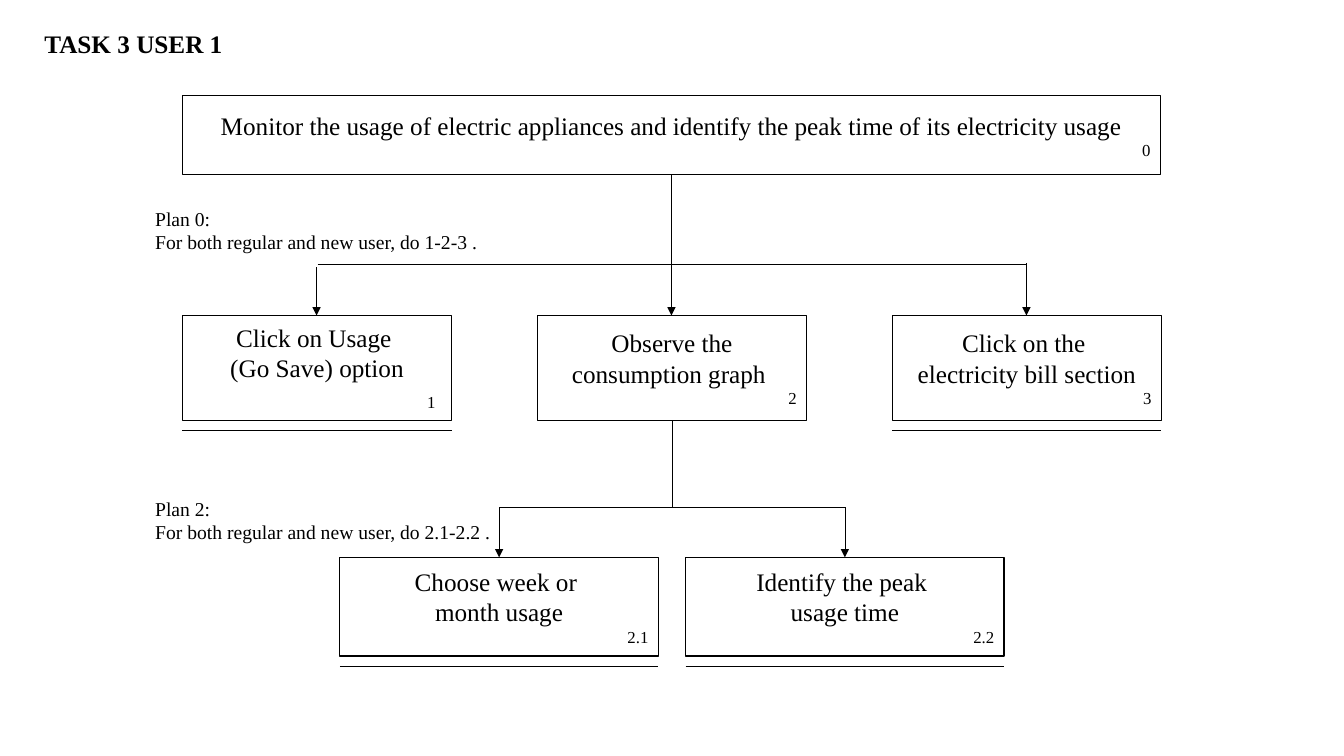
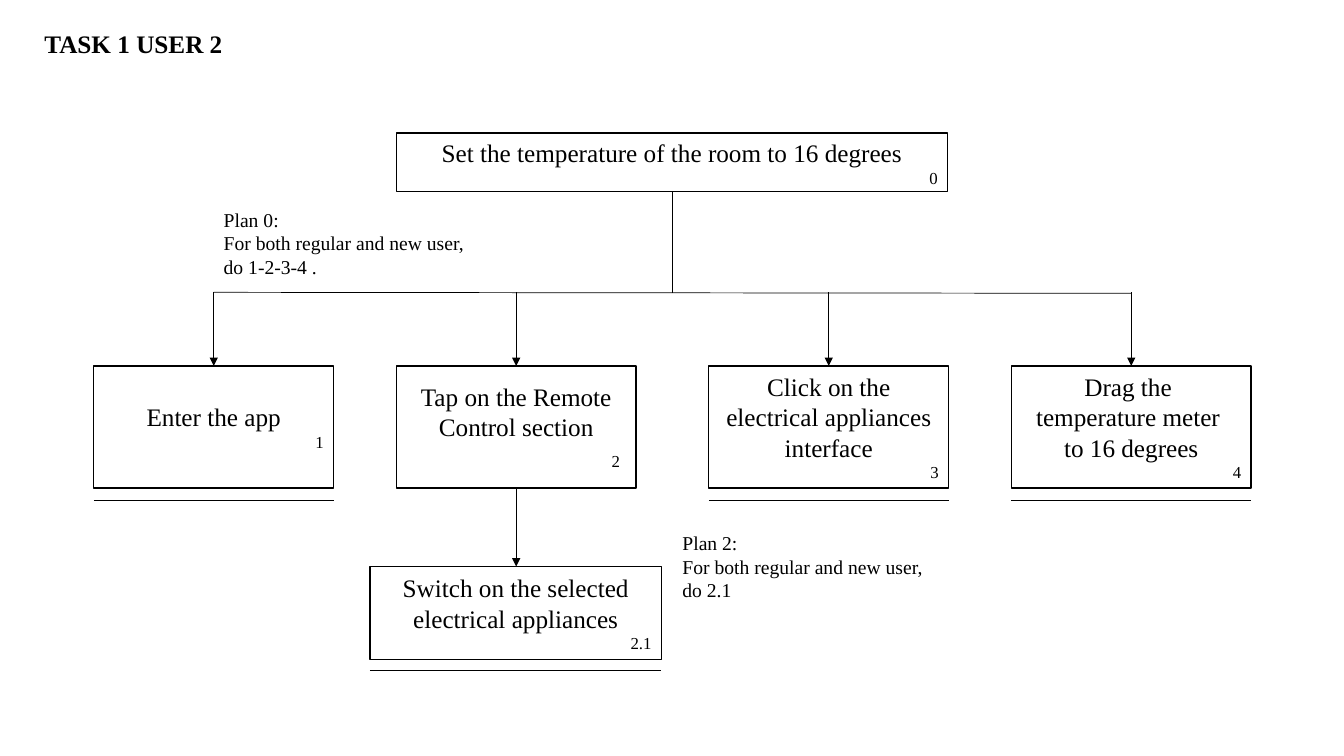
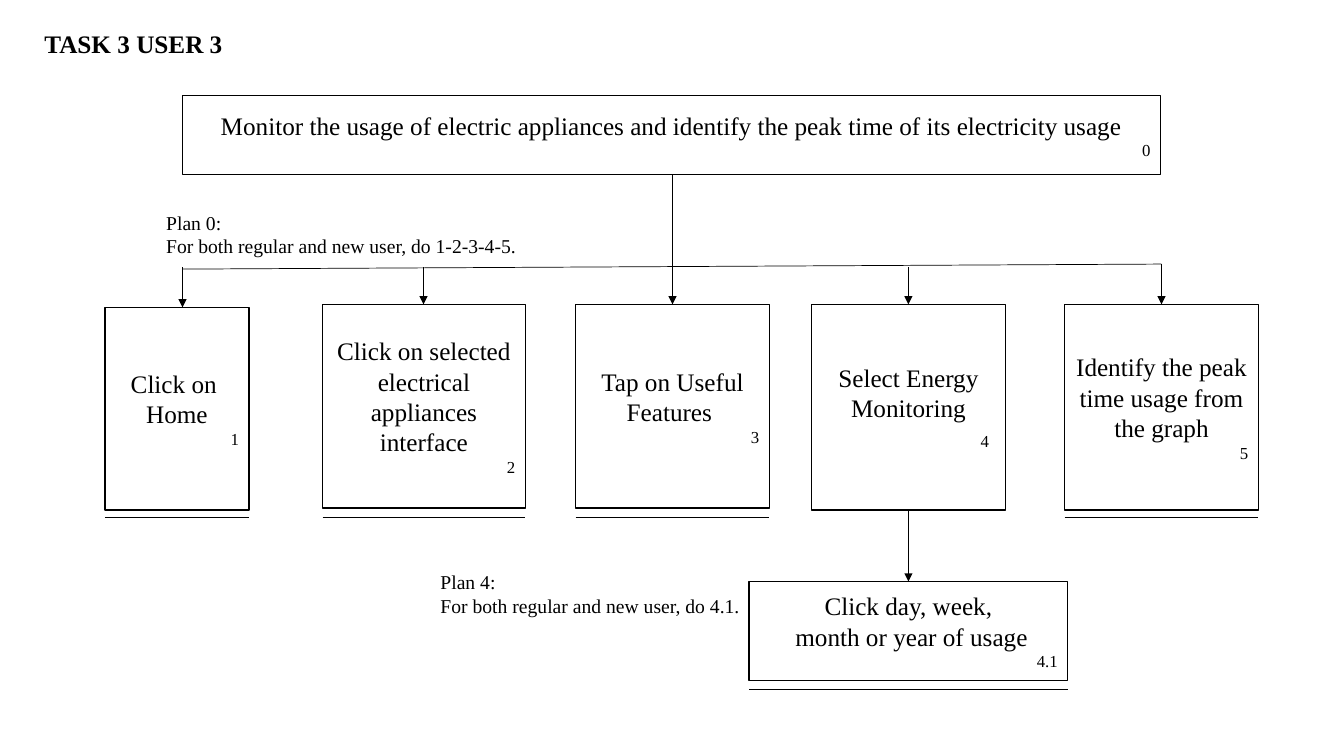
from lxml.etree import SubElement
from pptx import Presentation
from pptx.dml.color import RGBColor
from pptx.enum.shapes import MSO_CONNECTOR, MSO_SHAPE
from pptx.enum.text import MSO_ANCHOR, MSO_AUTO_SIZE, PP_ALIGN
from pptx.oxml.ns import qn
from pptx.util import Pt

PX = 9144
BLACK = RGBColor(0, 0, 0)
WHITE = RGBColor(255, 255, 255)
FONT = "Times New Roman"
GOAL = "Monitor the usage of electric appliances and identify the peak time of its electricity usage"
USER = "For both regular and new user,"


def scale(*sizes):
    return [size * PX for size in sizes]


def write(para, text, size=18, bold=False, align=PP_ALIGN.LEFT):
    para.alignment = align
    run = para.add_run()
    run.text = text
    run.font.name = FONT
    run.font.size = Pt(size)
    run.font.bold = bold
    run.font.color.rgb = BLACK


def fill(frame, text, **style):
    for i, row in enumerate(text.split("\n")):
        para = frame.add_paragraph() if i else frame.paragraphs[0]
        write(para, row, **style)


def fit(frame):
    frame.word_wrap = False
    frame.auto_size = MSO_AUTO_SIZE.SHAPE_TO_FIT_TEXT


def start(deck, text):
    slide = deck.slides.add_slide(deck.slide_layouts[5])
    title = slide.shapes.title
    title.left, title.top, title.width, title.height = scale(34, 23, 199, 40)
    title.text_frame.vertical_anchor = MSO_ANCHOR.TOP
    fit(title.text_frame)
    fill(title.text_frame, text, bold=True)
    return slide


def plan(slide, text, x, y, w, h=57):
    note = slide.shapes.add_textbox(*scale(x, y, w, h))
    fit(note.text_frame)
    fill(note.text_frame, text, size=14)


def link(slide, x1, y1, x2, y2, arrow=False):
    line = slide.shapes.add_connector(MSO_CONNECTOR.STRAIGHT, *scale(x1, y1, x2, y2))
    line.line.color.rgb = BLACK
    line.line.width = Pt(0.5)
    props = line.element.spPr
    if arrow:
        SubElement(props.find(qn("a:ln")), qn("a:tailEnd"), type="triangle")
    SubElement(props, qn("a:effectLst"))


def box(slide, text, num, x, y, w, h, bar=None, drop=None, mid=None, pad=False):
    shape = slide.shapes.add_shape(MSO_SHAPE.RECTANGLE, *scale(x, y, w, h))
    shape.shadow.inherit = False
    shape.fill.solid()
    shape.fill.fore_color.rgb = WHITE
    shape.line.color.rgb = BLACK
    shape.line.width = Pt(1)
    frame = shape.text_frame
    frame.word_wrap = True
    frame.vertical_anchor = MSO_ANCHOR.MIDDLE
    fill(frame, text, align=PP_ALIGN.CENTER)
    last = frame.add_paragraph()
    write(last, num, size=12, align=PP_ALIGN.RIGHT)
    if pad:
        write(last, " ", align=PP_ALIGN.RIGHT)
    if bar:
        link(slide, x, bar, x + w, bar)
    if drop:
        mid = mid or x + w // 2
        link(slide, mid, drop, mid, y, arrow=True)


def usage(deck):
    slide = start(deck, "TASK 3 USER 1")
    box(slide, GOAL, "0", 181, 95, 970, 78)
    plan(slide, f"Plan 0:\n{USER} do 1-2-3 .", 144, 200, 342)
    link(slide, 315, 262, 1019, 262)
    steps = [
        ("Click on Usage \n(Go Save) option", 427, 265, True),
        ("Observe the consumption graph ", None, 173, False),
        ("Click on the \nelectricity bill section", 427, 261, False),
    ]
    for i, (text, bar, drop, pad) in enumerate(steps):
        box(slide, text, str(i + 1), 181 + 352 * i, 313, 267, 104,
            bar=bar, drop=drop, pad=pad)
    link(slide, 667, 418, 667, 503)
    link(slide, 495, 503, 838, 503)
    plan(slide, f"Plan 2:\n{USER} do 2.1-2.2 .", 144, 488, 355)
    parts = ["Choose week or \nmonth usage", "Identify the peak \nusage time"]
    for i, text in enumerate(parts):
        box(slide, text, f"2.{i + 1}", 337 + 343 * i, 553, 316, 98, bar=661, drop=503)


def cool(deck):
    slide = start(deck, "TASK 1 USER 2")
    box(slide, "Set the temperature of the room to 16 degrees", "0", 393, 132, 547, 58)
    plan(slide, f"Plan 0:\n{USER}\ndo 1-2-3-4 .", 212, 201, 265, 81)
    link(slide, 667, 190, 667, 291)
    link(slide, 212, 290, 1122, 291)
    steps = [
        ("Enter the app", 93, 496, False),
        ("Tap on the Remote Control section", 393, None, True),
        ("Click on the electrical appliances interface", 703, 496, False),
        ("Drag the \ntemperature meter \nto 16 degrees", 1003, 496, False),
    ]
    for i, (text, x, bar, pad) in enumerate(steps):
        box(slide, text, str(i + 1), x, 363, 238, 121, bar=bar, drop=290, pad=pad)
    box(slide, "Switch on the selected\nelectrical appliances", "2.1",
        367, 562, 289, 92, bar=665, drop=484, mid=512)
    plan(slide, f"Plan 2:\n{USER}\ndo 2.1", 667, 522, 273, 81)


def watch(deck):
    slide = start(deck, "TASK 3 USER 3")
    box(slide, GOAL, "0", 181, 95, 970, 78)
    plan(slide, f"Plan 0:\n{USER} do 1-2-3-4-5.", 155, 204, 370)
    link(slide, 181, 267, 1152, 262)
    steps = [
        ("Click on \nHome", 104, 305, 143, 201, 513, 265, 181, False),
        ("Click on selected electrical appliances interface",
         320, 302, 201, 202, 513, 265, None, False),
        ("Tap on Useful Features ", 571, 302, 192, 202, 513, 173, None, False),
        ("Select Energy Monitoring", 805, 302, 192, 204, None, 265, None, True),
        ("Identify the peak time usage from the graph",
         1056, 302, 192, 204, 513, 262, None, False),
    ]
    for i, (text, *place) in enumerate(steps):
        box(slide, text, str(i + 1), *place)
    box(slide, "Click day, week,\n month or year of usage", "4.1",
        743, 577, 316, 98, bar=684, drop=506)
    plan(slide, f"Plan 4:\n{USER} do 4.1.", 427, 561, 319)


def main():
    deck = Presentation()
    deck.slide_width, deck.slide_height = scale(1333, 750)
    usage(deck)
    cool(deck)
    watch(deck)
    deck.save("out.pptx")


if __name__ == "__main__":
    main()
